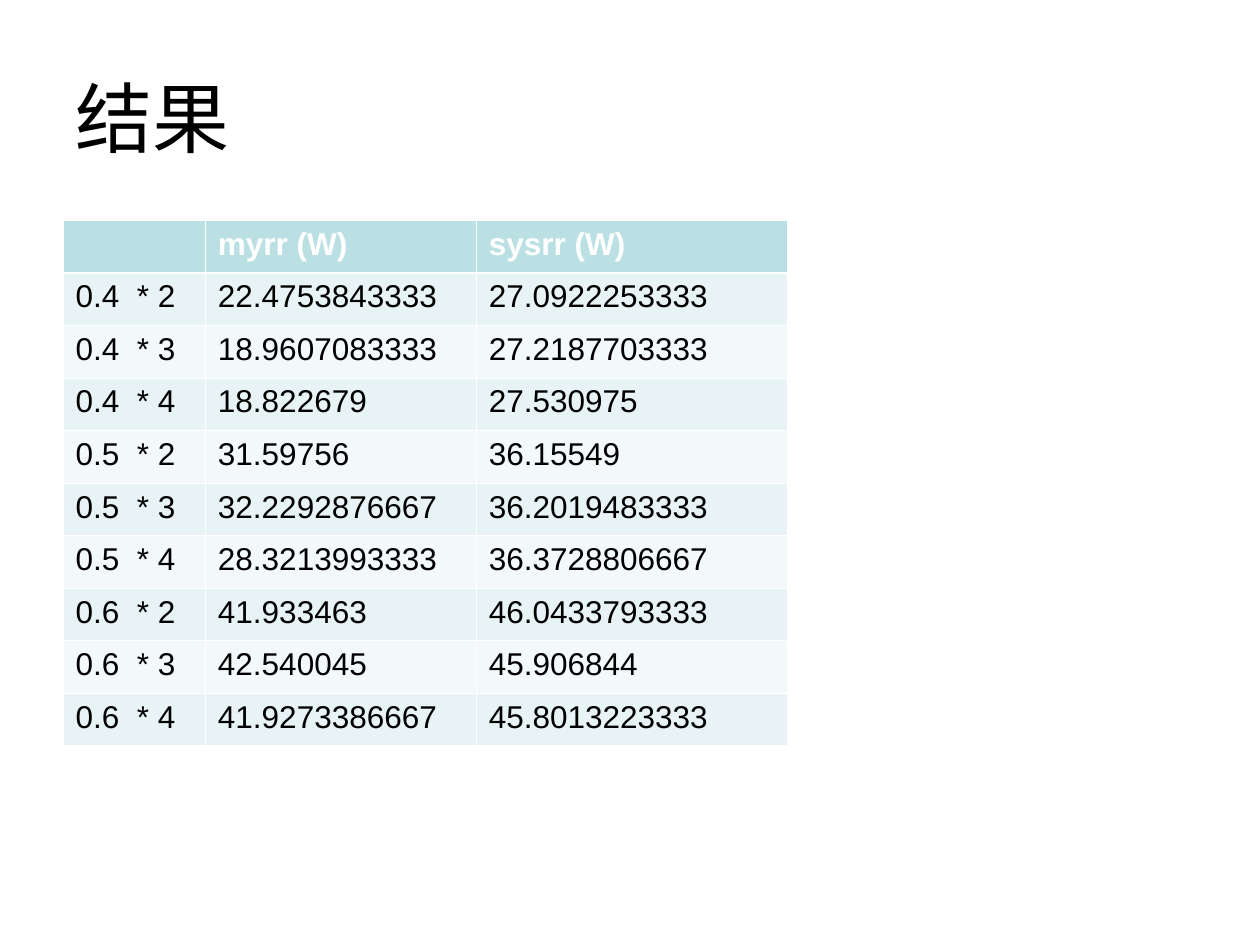
from lxml import etree
from pptx import Presentation
from pptx.dml.color import RGBColor
from pptx.enum.text import MSO_ANCHOR, PP_ALIGN
from pptx.oxml.ns import qn
from pptx.util import Inches, Pt

LEFT = PP_ALIGN.LEFT
MIDDLE = MSO_ANCHOR.MIDDLE

# Content
TITLE = "结果"
HEADER = ("", "myrr (W)", "sysrr (W)")
RESULTS = [
    ("0.4  * 2", "22.4753843333", "27.0922253333"),
    ("0.4  * 3", "18.9607083333", "27.2187703333"),
    ("0.4  * 4", "18.822679", "27.530975"),
    ("0.5  * 2", "31.59756", "36.15549"),
    ("0.5  * 3", "32.2292876667", "36.2019483333"),
    ("0.5  * 4", "28.3213993333", "36.3728806667"),
    ("0.6  * 2", "41.933463", "46.0433793333"),
    ("0.6  * 3", "42.540045", "45.906844"),
    ("0.6  * 4", "41.9273386667", "45.8013223333"),
]

# Style
FONT = "Arial"
COLORS = {"text": "000000", "header_text": "FFFFFF", "border": "FFFFFF",
          "header": "BBE0E3", "odd": "E7F3F4", "even": "F3F9FA"}
COLUMN_WIDTHS = (1.13, 2.15, 2.47)
ROW_HEIGHT = 0.417
THIN, THICK = 0.45, 1.47


def format_text(frame, size, color, bold=False):
    paragraph = frame.paragraphs[0]
    paragraph.alignment = LEFT
    for run in paragraph.runs:
        run.font.name = FONT
        run.font.size = Pt(size)
        run.font.bold = bold
        run.font.color.rgb = RGBColor.from_string(COLORS[color])


def set_borders(cell, top, bottom):
    """Draw the four cell borders; they must come before the cell's fill."""
    properties = cell._tc.get_or_add_tcPr()
    sides = (("a:lnL", THIN), ("a:lnR", THIN), ("a:lnT", top), ("a:lnB", bottom))
    for position, (side, width) in enumerate(sides):
        line = etree.Element(qn(side), w=str(Pt(width)))
        fill = etree.SubElement(line, qn("a:solidFill"))
        etree.SubElement(fill, qn("a:srgbClr"), val=COLORS["border"])
        properties.insert(position, line)


presentation = Presentation()
presentation.slide_width = Inches(10)
presentation.slide_height = Inches(7.5)
slide = presentation.slides.add_slide(presentation.slide_layouts[5])

# Title
title = slide.shapes.title
title.left, title.top = Inches(0.5), Inches(0.3)
title.width, title.height = Inches(9), Inches(1.25)
title.text_frame.text = TITLE
title.text_frame.vertical_anchor = MIDDLE
format_text(title.text_frame, 44, "text")

# Results table
rows = [HEADER, *RESULTS]
results = slide.shapes.add_table(
    len(rows), len(HEADER), Inches(0.5), Inches(1.75),
    Inches(sum(COLUMN_WIDTHS)), Inches(ROW_HEIGHT * len(rows))).table
for column, width in zip(results.columns, COLUMN_WIDTHS):
    column.width = Inches(width)

for r, values in enumerate(rows):
    results.rows[r].height = Inches(ROW_HEIGHT)
    is_header = r == 0
    band = "header" if is_header else "odd" if r % 2 else "even"
    for c, value in enumerate(values):
        cell = results.cell(r, c)
        cell.text_frame.text = value
        format_text(cell.text_frame, 18, "header_text" if is_header else "text", is_header)
        cell.fill.solid()
        cell.fill.fore_color.rgb = RGBColor.from_string(COLORS[band])
        set_borders(cell, THICK if r == 1 else THIN, THICK if is_header else THIN)

presentation.save("out.pptx")
